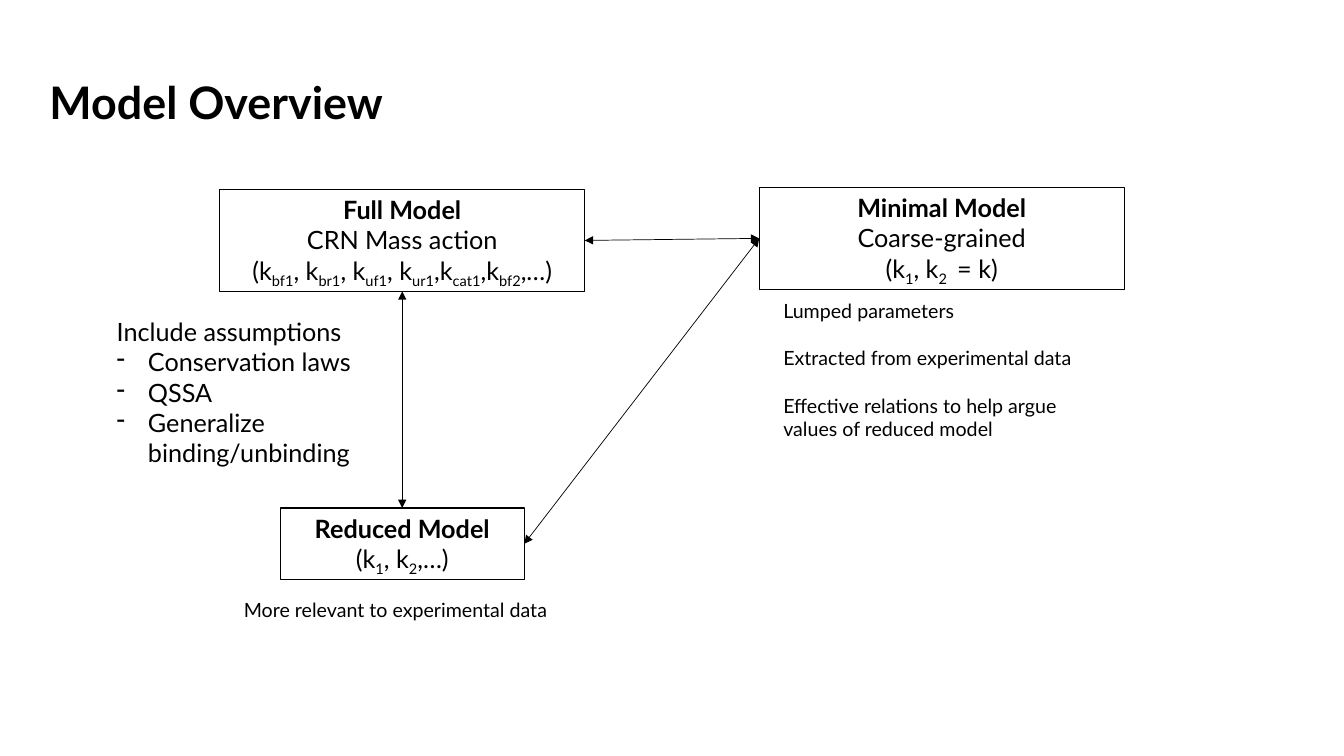
from dataclasses import dataclass

from lxml import etree
from pptx import Presentation
from pptx.dml.color import RGBColor
from pptx.enum.shapes import MSO_CONNECTOR, MSO_SHAPE
from pptx.enum.text import MSO_ANCHOR, MSO_AUTO_SIZE, PP_ALIGN
from pptx.oxml.ns import qn
from pptx.util import Inches, Pt

RECTANGLE = MSO_SHAPE.RECTANGLE
STRAIGHT = MSO_CONNECTOR.STRAIGHT
TOP, MIDDLE = MSO_ANCHOR.TOP, MSO_ANCHOR.MIDDLE
LEFT, CENTER = PP_ALIGN.LEFT, PP_ALIGN.CENTER
FIT_TEXT = MSO_AUTO_SIZE.SHAPE_TO_FIT_TEXT
TOP_SIDE, LEFT_SIDE, BOTTOM_SIDE, RIGHT_SIDE = range(4)

WIDTH, HEIGHT = Inches(13.33), Inches(7.5)


@dataclass(frozen=True)
class Theme:
    font: str = "Lato"
    ink: RGBColor = RGBColor(0, 0, 0)
    title: int = 32
    body: int = 18
    note: int = 14
    outline: float = 0.75
    arrow: float = 0.5
    subscript: int = -25000
    hanging: float = 0.31


THEME = Theme()


def area(left, top, width, height):
    """Turn percentages of the slide's size into lengths."""
    return (int(WIDTH * left / 100), int(HEIGHT * top / 100),
            int(WIDTH * width / 100), int(HEIGHT * height / 100))


def write(paragraph, text, size=THEME.body, bold=False, align=LEFT,
          bullet=None, before=0, spacing=None):
    """Write text whose subscripts stand between vertical bars."""
    paragraph.alignment = align
    paragraph.space_before = Pt(before)
    if spacing:
        paragraph.line_spacing = spacing
    if bullet:
        properties = paragraph._p.get_or_add_pPr()
        properties.set("marL", str(Inches(THEME.hanging)))
        properties.set("indent", str(-Inches(THEME.hanging)))
        etree.SubElement(properties, qn("a:buChar"), char=bullet)
    for index, piece in enumerate(text.split("|")):
        run = paragraph.add_run()
        run.text = piece
        run.font.name = THEME.font
        run.font.size = Pt(size)
        run.font.bold = bold
        run.font.color.rgb = THEME.ink
        if index % 2:
            run.font._element.set("baseline", str(THEME.subscript))


def write_lines(frame, lines):
    frame.word_wrap = True
    frame.auto_size = FIT_TEXT
    frame.vertical_anchor = TOP
    for index, (text, style) in enumerate(lines):
        paragraph = frame.add_paragraph() if index else frame.paragraphs[0]
        write(paragraph, text, **style)


def add_title(slide, text, place):
    title = slide.shapes.title
    title.left, title.top, title.width, title.height = area(*place)
    title.text_frame.vertical_anchor = MIDDLE
    write(title.text_frame.paragraphs[0], text, size=THEME.title, bold=True,
          spacing=0.9)


def add_model(slide, heading, details, place):
    model = slide.shapes.add_shape(RECTANGLE, *area(*place))
    model.shadow.inherit = False
    model.fill.background()
    model.line.color.rgb = THEME.ink
    model.line.width = Pt(THEME.outline)
    lines = [(heading, {"bold": True, "align": CENTER})]
    lines += [(detail, {"align": CENTER}) for detail in details]
    write_lines(model.text_frame, lines)
    return model


def add_note(slide, lines, place):
    note = slide.shapes.add_textbox(*area(*place))
    write_lines(note.text_frame, lines)


def add_relation(slide, start, start_side, end, end_side):
    relation = slide.shapes.add_connector(STRAIGHT, 0, 0, 0, 0)
    relation.begin_connect(start, start_side)
    relation.end_connect(end, end_side)
    relation.line.color.rgb = THEME.ink
    relation.line.width = Pt(THEME.arrow)
    outline = relation.line._get_or_add_ln()
    for arrowhead in ("a:headEnd", "a:tailEnd"):
        etree.SubElement(outline, qn(arrowhead), type="triangle")
    etree.SubElement(relation._element.spPr, qn("a:effectLst"))


def main():
    deck = Presentation()
    deck.slide_width, deck.slide_height = WIDTH, HEIGHT
    slide = deck.slides.add_slide(deck.slide_layouts[5])

    add_title(slide, "Model Overview", (2.93, 4.27, 86.27, 19.33))

    full = add_model(
        slide, "Full Model",
        ["CRN Mass action",
         "(k|bf1|, k|br1|, k|uf1|, k|ur1|,k|cat1|,k|bf2|,…)"],
        (16.35, 25.07, 27.16, 13.47))
    reduced = add_model(slide, "Reduced Model", ["(k|1|, k|2|,…)"],
                        (20.85, 67.2, 18.16, 9.47))
    minimal = add_model(slide, "Minimal Model",
                        ["Coarse-grained", "(k|1|, k|2 | = k)"],
                        (56.49, 24.8, 27.16, 13.47))

    assumptions = ["Conservation laws", "QSSA",
                   "Generalize binding/unbinding"]
    add_note(slide,
             [("Include assumptions", {})]
             + [(item, {"bullet": "-"}) for item in assumptions],
             (7.95, 41.2, 21.98, 21.6))
    add_note(slide,
             [("More relevant to experimental data", {"size": THEME.note})],
             (17.4, 78.4, 25.06, 4.53))
    traits = ["Lumped parameters", "Extracted from experimental data",
              "Effective relations to help argue values of reduced model"]
    gap = THEME.note * 1.2
    add_note(slide,
             [(trait, {"size": THEME.note, "before": gap if index else 0})
              for index, trait in enumerate(traits)],
             (57.54, 38.93, 25.06, 20.13))

    add_relation(slide, full, BOTTOM_SIDE, reduced, TOP_SIDE)
    add_relation(slide, minimal, LEFT_SIDE, reduced, RIGHT_SIDE)
    add_relation(slide, minimal, LEFT_SIDE, full, RIGHT_SIDE)

    deck.save("out.pptx")


if __name__ == "__main__":
    main()
